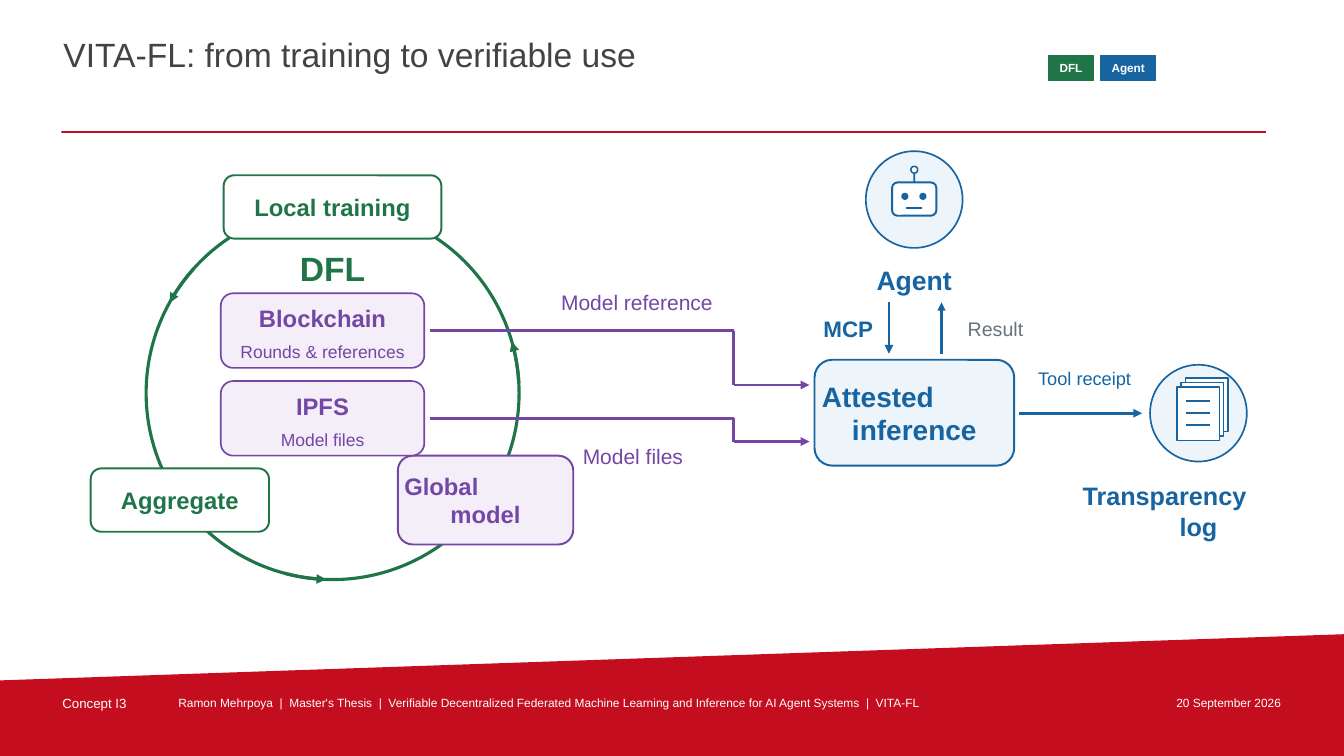
from math import cos, radians, sin

from lxml.etree import SubElement
from pptx import Presentation
from pptx.dml.color import RGBColor
from pptx.enum.shapes import MSO_CONNECTOR, MSO_SHAPE
from pptx.enum.text import MSO_ANCHOR, PP_ALIGN
from pptx.oxml.ns import qn
from pptx.util import Pt

RED = RGBColor(0xC4, 0x0D, 0x1E)
GREEN = RGBColor(0x20, 0x75, 0x48)
BLUE = RGBColor(0x17, 0x64, 0xA1)
PURPLE = RGBColor(0x74, 0x46, 0xA6)
PALE_BLUE = RGBColor(0xED, 0xF4, 0xFA)
PALE_PURPLE = RGBColor(0xF3, 0xEE, 0xF8)
WHITE = RGBColor(0xFF, 0xFF, 0xFF)
CHARCOAL = RGBColor(0x43, 0x43, 0x43)
GREY = RGBColor(0x67, 0x74, 0x7C)

RECT, ROUNDED, OVAL = MSO_SHAPE.RECTANGLE, MSO_SHAPE.ROUNDED_RECTANGLE, MSO_SHAPE.OVAL
LEFT, CENTER, RIGHT = PP_ALIGN.LEFT, PP_ALIGN.CENTER, PP_ALIGN.RIGHT


def set_frame(frame, margin=0, anchor=MSO_ANCHOR.MIDDLE):
    frame.word_wrap = True
    frame.vertical_anchor = anchor
    frame.margin_left = frame.margin_right = Pt(margin)
    frame.margin_top = frame.margin_bottom = Pt(margin)


def write(paragraph, words, size, color, bold=False, align=CENTER):
    paragraph.alignment = align
    run = paragraph.add_run()
    run.text = words
    run.font.name = "Arial"
    run.font.size = Pt(size)
    run.font.bold = bold
    run.font.color.rgb = color


def write_stepped(frame, first, second, size, color):
    write(frame.paragraphs[0], first, size, color, True, LEFT)
    write(frame.add_paragraph(), second, size, color, True)


def add_frame(slide, x, y, w, h):
    frame = slide.shapes.add_textbox(Pt(x), Pt(y), Pt(w), Pt(h)).text_frame
    set_frame(frame)
    return frame


def add_label(slide, box, words, size, color, bold=False, align=CENTER):
    write(add_frame(slide, *box).paragraphs[0], words, size, color, bold, align)


def paint(shape, fill, line=None, weight=1.2):
    shape.shadow.inherit = False
    shape.fill.solid()
    shape.fill.fore_color.rgb = fill
    if line is None:
        shape.line.fill.background()
    else:
        shape.line.color.rgb = line
        shape.line.width = Pt(weight)


def add_block(slide, kind, box, fill, line=None, weight=1.2):
    block = slide.shapes.add_shape(kind, *(Pt(v) for v in box))
    paint(block, fill, line, weight)
    set_frame(block.text_frame, 1.5)
    return block


def add_line(slide, start, end, color, weight, arrow=False):
    line = slide.shapes.add_connector(
        MSO_CONNECTOR.STRAIGHT, *(Pt(v) for v in (*start, *end)))
    line.line.color.rgb = color
    line.line.width = Pt(weight)
    if arrow:
        SubElement(line.line._get_or_add_ln(), qn("a:tailEnd"), type="triangle")
    SubElement(line._element.spPr, qn("a:effectLst"))
    return line


def add_path(slide, points, color, weight):
    last = len(points) - 2
    for i, (start, end) in enumerate(zip(points, points[1:])):
        add_line(slide, start, end, color, weight, arrow=i == last)


def add_title(slide):
    title = slide.shapes.title
    title.left, title.top, title.width, title.height = Pt(43.9), Pt(23), Pt(695), Pt(44.6)
    set_frame(title.text_frame, 1.44, MSO_ANCHOR.TOP)
    write(title.text_frame.paragraphs[0], "VITA-FL: from training to verifiable use",
          24, CHARCOAL, align=LEFT)
    add_block(slide, RECT, (43.9, 93.6, 860.4, 1.4), RED)


def add_footer(slide):
    builder = slide.shapes.build_freeform(0, Pt(486), scale=1.0)
    builder.add_line_segments(
        [(Pt(960), Pt(453)), (Pt(960), Pt(540)), (0, Pt(540))], close=True)
    paint(builder.convert_to_shape(), RED)
    add_label(slide, (44.6, 496.5, 70, 11), "Concept I3", 9.5, WHITE, align=LEFT)
    add_label(slide, (127.4, 496.5, 670, 11),
              "Ramon Mehrpoya  |  Master's Thesis  |  Verifiable Decentralized Federated "
              "Machine Learning and Inference for AI Agent Systems  |  VITA-FL",
              8.5, WHITE, align=LEFT)
    add_label(slide, (806, 496.5, 109, 11), "20 September 2026", 8.5, WHITE, align=RIGHT)


def add_badge(slide, x, width, words, color):
    badge = add_block(slide, RECT, (x, 39.6, width, 18), color, color, 0.55)
    write(badge.text_frame.paragraphs[0], words, 8.4, WHITE, True)


def add_training_cycle(slide):
    cx, cy, radius = 237.6, 280.8, 133.2
    add_block(slide, OVAL, (cx - radius, cy - radius, 2 * radius, 2 * radius),
              WHITE, GREEN, 2.25)
    for start in (138, 255, 3):
        angles = [radians(start + 13 * i / 8) for i in range(9)]
        add_path(slide, [(cx + radius * cos(a), cy - radius * sin(a)) for a in angles],
                 GREEN, 2.3)
    for words, x, y, width in (("Local training", 159.8, 125.2, 155.5),
                               ("Aggregate", 64.8, 334.6, 127.4)):
        stage = add_block(slide, ROUNDED, (x, y, width, 45.2), WHITE, GREEN, 1.4)
        write(stage.text_frame.paragraphs[0], words, 17, GREEN, True)
    model = add_block(slide, ROUNDED, (284.2, 325.5, 125.3, 63.4), PALE_PURPLE, PURPLE, 1.4)
    write_stepped(model.text_frame, "Global", "model", 17, PURPLE)
    add_label(slide, (190.8, 177.1, 93.6, 28.8), "DFL", 24, GREEN, True)


def add_store(slide, y, name, content):
    store = add_block(slide, ROUNDED, (157.7, y, 145.4, 53.3), PALE_PURPLE, PURPLE)
    frame = store.text_frame
    frame.margin_top = Pt(5)
    write(frame.paragraphs[0], name, 17, PURPLE, True)
    detail = frame.add_paragraph()
    detail.space_before = Pt(6)
    write(detail, content, 12.5, PURPLE)


def add_robot(slide):
    add_block(slide, OVAL, (618.5, 108, 69.1, 69.1), PALE_BLUE, BLUE)
    head = add_block(slide, ROUNDED, (637.2, 130.3, 31.7, 23.8), WHITE, BLUE, 1.4)
    for x in (644.2, 657.1):
        add_block(slide, OVAL, (x, 138.1, 4.3, 4.3), BLUE, BLUE, 0.8)
    add_line(slide, (647.3, 148.5), (658.8, 148.5), BLUE, 1.2)
    antenna = add_line(slide, (653, 130.3), (653, 123.8), BLUE, 1.2)
    antenna.begin_connect(head, 0)
    add_block(slide, OVAL, (650.6, 118.8, 4.9, 4.9), WHITE, BLUE, 1.1)


def add_log(slide):
    add_block(slide, OVAL, (821.5, 260.6, 69.1, 69.1), PALE_BLUE, BLUE)
    for i in range(3):
        add_block(slide, RECT, (846.7 - 3 * i, 270 + 3.2 * i, 30.4, 38.2), WHITE, BLUE)
    for i in range(3):
        y = 286.6 + 8.6 * i
        add_line(slide, (847, y), (864.5, y), BLUE, 1.2)
    write_stepped(add_frame(slide, 773.3, 339.1, 165.6, 51.8),
                  "Transparency", "log", 18, BLUE)


def main():
    prs = Presentation()
    prs.slide_width, prs.slide_height = Pt(960), Pt(540)
    slide = prs.slides.add_slide(prs.slide_layouts[5])
    add_footer(slide)
    add_title(slide)
    add_badge(slide, 748.8, 32.4, "DFL", GREEN)
    add_badge(slide, 786.2, 39.4, "Agent", BLUE)

    add_training_cycle(slide)
    add_store(slide, 209.5, "Blockchain", "Rounds & references")
    add_store(slide, 272.2, "IPFS", "Model files")
    for y, target in ((236.2, 275), (298.8, 315.4)):
        add_path(slide, [(307.4, y), (524.2, y), (524.2, target), (578.2, target)],
                 PURPLE, 2.1)
    add_label(slide, (384.5, 204.5, 141, 23), "Model reference", 15, PURPLE)
    add_label(slide, (388, 314, 128.2, 23), "Model files", 15, PURPLE)

    inference = add_block(slide, ROUNDED, (581.8, 257, 142.6, 75.6), PALE_BLUE, BLUE, 1.4)
    write_stepped(inference.text_frame, "Attested", "inference", 20, BLUE)
    add_robot(slide)
    add_label(slide, (570.2, 186.5, 165.6, 27.4), "Agent", 19, BLUE, True)
    add_line(slide, (635, 216), (635, 252.7), BLUE, 2.1, arrow=True)
    add_label(slide, (582.5, 223.9, 46.8, 21.6), "MCP", 16, BLUE, True)
    add_line(slide, (672.5, 252.7), (672.5, 216), BLUE, 1.5, arrow=True)
    add_label(slide, (682.6, 223.9, 56.9, 21.6), "Result", 14, GREY)
    add_line(slide, (727.9, 295.2), (815.8, 295.2), BLUE, 2.1, arrow=True)
    add_label(slide, (730.8, 258.5, 87.8, 23.8), "Tool receipt", 13, BLUE)
    add_log(slide)
    prs.save("out.pptx")


if __name__ == "__main__":
    main()
